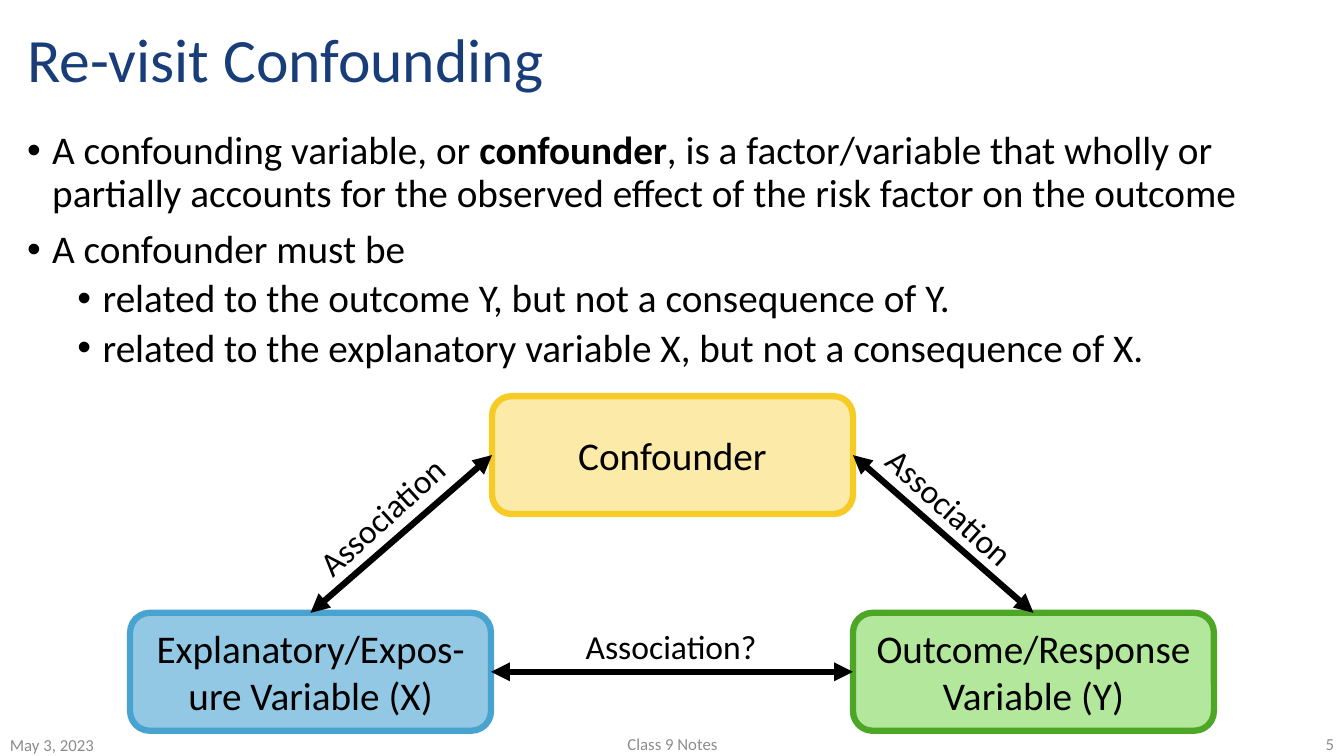
from lxml import etree
from pptx import Presentation
from pptx.dml.color import RGBColor
from pptx.enum.shapes import MSO_CONNECTOR, MSO_SHAPE
from pptx.enum.text import MSO_ANCHOR, MSO_AUTO_SIZE, PP_ALIGN
from pptx.oxml.ns import qn
from pptx.util import Pt

PX = 9144  # 100 px to the inch
LEFT, MID, RIGHT = PP_ALIGN.LEFT, PP_ALIGN.CENTER, PP_ALIGN.RIGHT
TOP, MIDDLE = MSO_ANCHOR.TOP, MSO_ANCHOR.MIDDLE
ROUND, LINE = MSO_SHAPE.ROUNDED_RECTANGLE, MSO_CONNECTOR.STRAIGHT
N, W, E = 0, 1, 3  # connection sites of a box

COLORS = {
    "title": "193D78", "ink": "000000", "gray": "8C8C8C",
    "blue": "92C8E3", "blue edge": "49A3D1",
    "green": "B3E89C", "green edge": "4EA627",
    "gold": "FCEAA8", "gold edge": "F7CB25",
}


def rgb(name):
    return RGBColor.from_string(COLORS[name])


def write(para, text, size=28, color="ink", align=LEFT, font="Calibri"):
    """Fill a paragraph; text between ** marks is bold."""
    para.alignment = align
    for i, part in enumerate(text.split("**")):
        run = para.add_run()
        run.text = part
        run.font.name, run.font.size = font, Pt(size)
        run.font.bold = i % 2 == 1
        run.font.color.rgb = rgb(color)


class Deck:
    edge = 4.5

    def __init__(self, wide, high):
        self.prs = Presentation()
        self.prs.slide_width, self.prs.slide_height = wide * PX, high * PX
        self.slide = self.prs.slides.add_slide(self.prs.slide_layouts[5])
        self.shapes = self.slide.shapes

    def title(self, text, x, y, w, h):
        box = self.shapes.title
        box.left, box.top, box.width, box.height = (v * PX for v in (x, y, w, h))
        frame = box.text_frame
        frame.auto_size, frame.vertical_anchor = MSO_AUTO_SIZE.NONE, MIDDLE
        frame.paragraphs[0].line_spacing = 0.9
        write(frame.paragraphs[0], text, size=44, color="title")

    def frame(self, x, y, w, h, turn=0, anchor=TOP):
        box = self.shapes.add_textbox(*(v * PX for v in (x, y, w, h)))
        box.rotation = turn
        box.text_frame.word_wrap = True
        box.text_frame.vertical_anchor = anchor
        return box.text_frame

    def label(self, text, x, y, w, h, turn=0, anchor=TOP, **style):
        frame = self.frame(x, y, w, h, turn, anchor)
        write(frame.paragraphs[0], text, **style)

    def bullets(self, items, x, y, w, h):
        frame = self.frame(x, y, w, h)
        for i, (level, text) in enumerate(items):
            para = frame.add_paragraph() if i else frame.paragraphs[0]
            para.level = level
            props = para._p.get_or_add_pPr()
            props.set("marL", str((25 + 50 * level) * PX))
            props.set("indent", str(-25 * PX))
            etree.SubElement(props, qn("a:buFont")).set("typeface", "Arial")
            etree.SubElement(props, qn("a:buChar")).set("char", "•")
            para.line_spacing = 0.9
            para.space_before = Pt((5 if level else 10) if i else 0)
            write(para, text)

    def box(self, text, x, y, w, h, hue):
        box = self.shapes.add_shape(ROUND, *(v * PX for v in (x, y, w, h)))
        box.shadow.inherit = False
        box.fill.solid()
        box.fill.fore_color.rgb = rgb(hue)
        box.line.color.rgb = rgb(hue + " edge")
        box.line.width = Pt(self.edge)
        frame = box.text_frame
        frame.word_wrap, frame.vertical_anchor = True, MIDDLE
        write(frame.paragraphs[0], text, align=MID)
        return box

    def arrow(self, start, site, end, goal):
        line = self.shapes.add_connector(LINE, 0, 0, 0, 0)
        line.begin_connect(start, site)
        line.end_connect(end, goal)
        line.line.color.rgb = rgb("ink")
        line.line.width = Pt(self.edge)
        props = line._element.spPr
        for tag in ("a:headEnd", "a:tailEnd"):
            etree.SubElement(props.find(qn("a:ln")), qn(tag)).set("type", "triangle")
        etree.SubElement(props, qn("a:effectLst"))


def main():
    deck = Deck(1333, 750)

    # Title and definition
    deck.title("Re-visit Confounding", 17, 16, 1300, 92)
    deck.bullets([
        (0, "A confounding variable, or **confounder**, is a factor/variable that "
            "wholly or partially accounts for the observed effect of the risk "
            "factor on the outcome"),
        (0, "A confounder must be"),
        (1, "related to the outcome Y, but not a consequence of Y."),
        (1, "related to the explanatory variable X, but not a consequence of X."),
    ], 17, 125, 1300, 592)

    # Footer
    for text, x, y, w, h, align in (
        ("May 3, 2023", 0, 727, 300, 23, LEFT),
        ("Class 9 Notes", 442, 725, 450, 25, MID),
        ("5", 1033, 725, 300, 25, RIGHT),
    ):
        deck.label(text, x, y, w, h, anchor=MIDDLE, size=12, color="gray", align=align)

    # Boxes of the triangle
    wide, high, low = 358, 117, 608
    cause = deck.box("Explanatory/Expos-ure Variable (X)", 129, low, wide, high, "blue")
    effect = deck.box("Outcome/Response Variable (Y)", 846, low, wide, high, "green")
    third = deck.box("Confounder", 488, 393, wide, high, "gold")

    # Arrows and their labels
    deck.arrow(cause, E, effect, W)
    deck.arrow(cause, N, third, W)
    deck.arrow(effect, N, third, E)
    for text, x, y, turn in (
        ("Association", 289, 481, 317.7),
        ("Association", 853, 484, 42),
        ("Association?", 571, 616, 0),
    ):
        deck.label(text, x, y, 192, 50, turn=turn, size=24)

    deck.prs.save("out.pptx")


if __name__ == "__main__":
    main()
